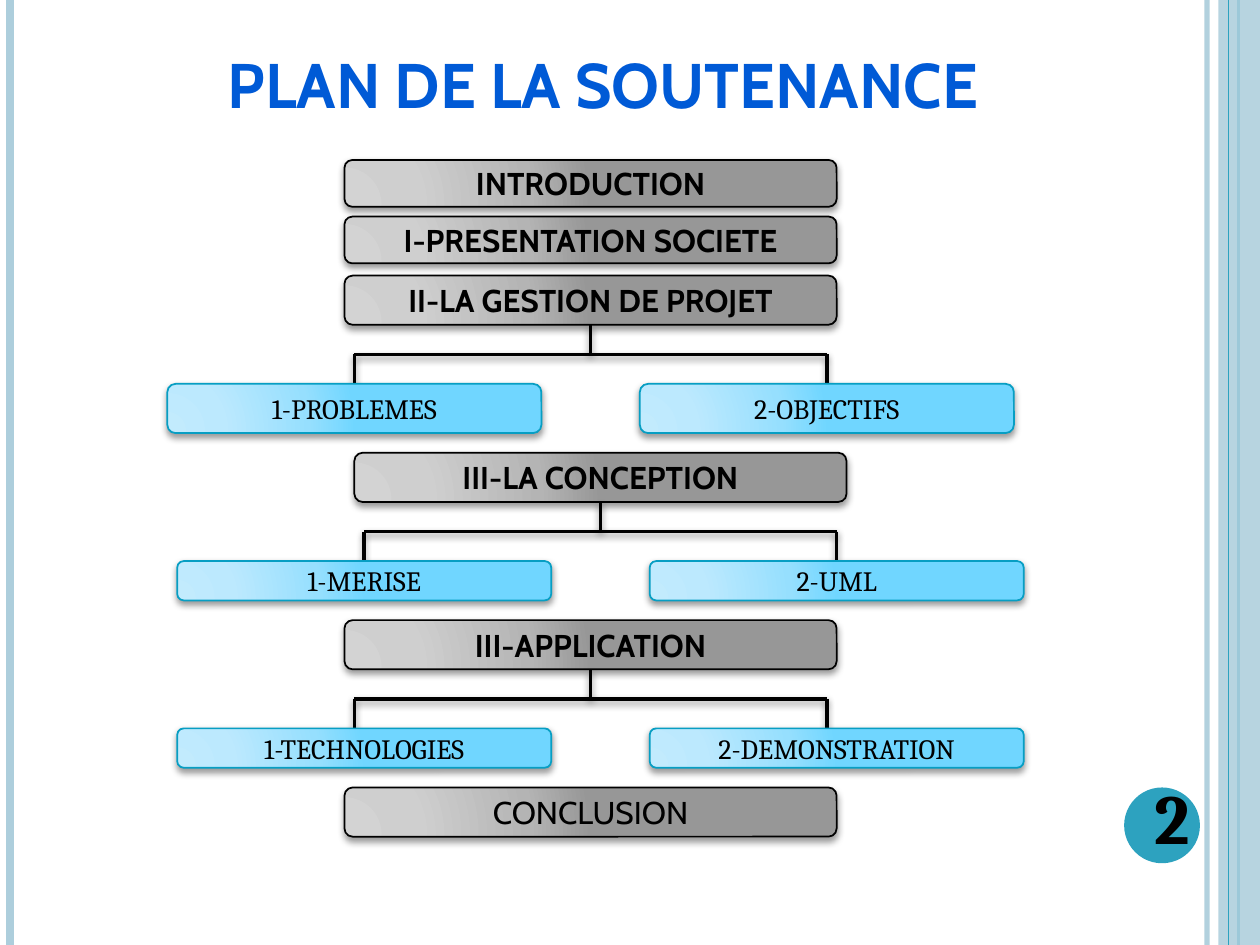
from dataclasses import dataclass

from lxml import etree
from pptx import Presentation
from pptx.dml.color import RGBColor
from pptx.enum.shapes import MSO_CONNECTOR as Link, MSO_SHAPE as Preset
from pptx.enum.text import MSO_ANCHOR as Anchor, PP_ALIGN as Align
from pptx.oxml import parse_xml
from pptx.oxml.ns import nsdecls, qn
from pptx.util import Inches, Pt

# Grid: 128 columns by 96 rows of square cells
CELL = 10 / 128
COLUMNS, ROWS = 128, 96


@dataclass(frozen=True)
class Theme:
    black: str = "000000"
    teal: str = "2DA2BF"
    pale: str = "ADCEDC"
    title: str = "005AD6"
    topic_line: str = "079EC3"
    section_fill: tuple = ("D3D3D3", "CFCFCF", "B4B4B4", "979797")
    topic_fill: tuple = ("C2EBFD", "BCE9FE", "96DFFE", "70D6FF")
    stops: tuple = (0, 30, 75, 100)
    heading: str = "Cabin"
    body: str = "Cambria"
    title_size: int = 36
    section_size: int = 18
    topic_size: int = 16
    number_size: int = 40


THEME = Theme()


def cells(*counts):
    return [Inches(count * CELL) for count in counts]


def set_alpha(item, percent):
    for color in item.iter(qn("a:srgbClr")):
        etree.SubElement(color, qn("a:alpha")).set("val", str(percent * 1000))


def set_shadow(item):
    properties = item._element.spPr
    for old in properties.findall(qn("a:effectLst")):
        properties.remove(old)
    properties.append(parse_xml(
        f'<a:effectLst {nsdecls("a")}><a:outerShdw blurRad="{Pt(4)}" dist="{Pt(2)}" '
        f'dir="5400000" rotWithShape="0"><a:srgbClr val="{THEME.black}">'
        '<a:alpha val="40000"/></a:srgbClr></a:outerShdw></a:effectLst>'))


def set_gradient(shape, colors):
    shape.fill.background()
    stops = "".join(f'<a:gs pos="{stop * 1000}"><a:srgbClr val="{color}"/></a:gs>'
                    for stop, color in zip(THEME.stops, colors))
    gradient = parse_xml(
        f'<a:gradFill {nsdecls("a")} rotWithShape="1"><a:gsLst>{stops}</a:gsLst>'
        '<a:path path="circle"><a:fillToRect l="5000" t="100000" r="120000" b="10000"/>'
        '</a:path></a:gradFill>')
    properties = shape._element.spPr
    properties.replace(properties.find(qn("a:noFill")), gradient)


def add_line(page, start, end, color, width, shadow=False):
    line = page.shapes.add_connector(Link.STRAIGHT, *cells(*start, *end))
    line.line.color.rgb = RGBColor.from_string(color)
    line.line.width = Pt(width)
    if shadow:
        set_shadow(line)
    else:
        etree.SubElement(line._element.spPr, qn("a:effectLst"))
    return line


def add_plain(page, preset, box, color):
    shape = page.shapes.add_shape(preset, *cells(*box))
    shape.shadow.inherit = False
    shape.fill.solid()
    shape.fill.fore_color.rgb = RGBColor.from_string(color)
    shape.line.fill.background()
    return shape


def write(shape, text, color, **format_values):
    para = shape.text_frame.paragraphs[0]
    para.alignment = Align.CENTER
    span = para.add_run()
    span.text = text
    span.font.color.rgb = RGBColor.from_string(color)
    for name, value in format_values.items():
        setattr(span.font, name, value)
    return span


SECTION = dict(colors=THEME.section_fill, outline=THEME.black,
               font=dict(name=THEME.heading, size=Pt(THEME.section_size), bold=True))
TOPIC = dict(colors=THEME.topic_fill, outline=THEME.topic_line,
             font=dict(name=THEME.body, size=Pt(THEME.topic_size), bold=False))


def add_label(page, box, text, kind, **changes):
    label = page.shapes.add_shape(Preset.ROUNDED_RECTANGLE, *cells(*box))
    set_gradient(label, kind["colors"])
    label.line.color.rgb = RGBColor.from_string(kind["outline"])
    label.line.width = Pt(1)
    set_shadow(label)
    label.text_frame.word_wrap = True
    label.text_frame.vertical_anchor = Anchor.MIDDLE
    write(label, text, THEME.black, **{**kind["font"], **changes})


def add_branch(page, box, text, topics, topic_height, shift=0):
    """Section with two topics hanging from a bracket."""
    left, top, width, height = box
    add_label(page, box, text, SECTION)
    bar, topic_top, topic_width = top + height + 3, top + height + 6, 38
    middle, drops = left + width / 2, (left + 1, left + width - 1)
    bracket = [((middle, top + height), (middle, bar)),
               ((drops[0], bar), (drops[1], bar))]
    bracket += [((drop, bar), (drop, topic_top)) for drop in drops]
    for start, end in bracket:
        add_line(page, start, end, THEME.black, 2, shadow=True)
    for drop, topic in zip(drops, topics):
        topic_left = drop - topic_width / 2 + shift
        add_label(page, (topic_left, topic_top, topic_width, topic_height), topic, TOPIC)


def add_frame(page, box):
    """Vertical rules and the band at the right edge."""
    left, top, width, height = box

    def rule(share, color, weight):
        column = left + share * width
        return add_line(page, (column, top), (column, top + height), color, weight)

    set_alpha(rule(0.958, THEME.pale, 3)._element, 93)
    rule(0.008, THEME.pale, 4.5)
    rule(0.983, THEME.teal, 1.5)
    band = add_plain(page, Preset.RECTANGLE,
                     (left + 0.967 * width, top, 0.033 * width, height), THEME.pale)
    set_alpha(band._element, 87)
    rule(0.975, THEME.teal, 0.75)


def add_title(page, box, text):
    title = page.shapes.add_textbox(*cells(*box))
    title.text_frame.word_wrap = False
    write(title, text, THEME.title, name=THEME.heading,
          size=Pt(THEME.title_size), bold=True)


def add_number(page, box, text):
    left, top, size, _ = box
    add_plain(page, Preset.OVAL, box, THEME.teal)
    number = page.shapes.add_textbox(*cells(left + 1.8, top - 2, 4, size + 2.2))
    number.text_frame.word_wrap = True
    span = write(number, text, THEME.black, name=THEME.body,
                 size=Pt(THEME.number_size), bold=True)
    span.font._element.set("spc", "50")


def add_outline(page, box):
    """Sections from top to bottom, with their topics."""
    left, top, width, height = box
    add_label(page, (left, top, width, 4.75), "INTRODUCTION", SECTION)
    add_label(page, (left, top + 5.75, width, 4.75), "I-PRESENTATION SOCIETE", SECTION)
    branches = [
        (0, 11.75, "II-LA GESTION DE PROJET", ("1-PROBLEMES", "2-OBJECTIFS"), 5, 0),
        (1, 29.75, "III-LA CONCEPTION", ("1-MERISE", "2-UML"), 4, 0),
        (0, 46.75, "III-APPLICATION", ("1-TECHNOLOGIES", "2-DEMONSTRATION"), 4, 1),
    ]
    for indent, row, text, topics, topic_height, shift in branches:
        add_branch(page, (left + indent, top + row, width, 5),
                   text, topics, topic_height, shift)
    add_label(page, (left, top + height - 5, width, 5), "CONCLUSION", SECTION, bold=False)


deck = Presentation()
deck.slide_width, deck.slide_height = cells(COLUMNS, ROWS)
page = deck.slides.add_slide(deck.slide_layouts[6])
add_frame(page, (0, 0, COLUMNS, ROWS))
add_title(page, (20.5, 4, 81.5, 9), "PLAN DE LA SOUTENANCE")
add_outline(page, (35, 16.25, 50, 68.75))
add_number(page, (114.2, 80, 7.7, 7.7), "2")
deck.save("out.pptx")
